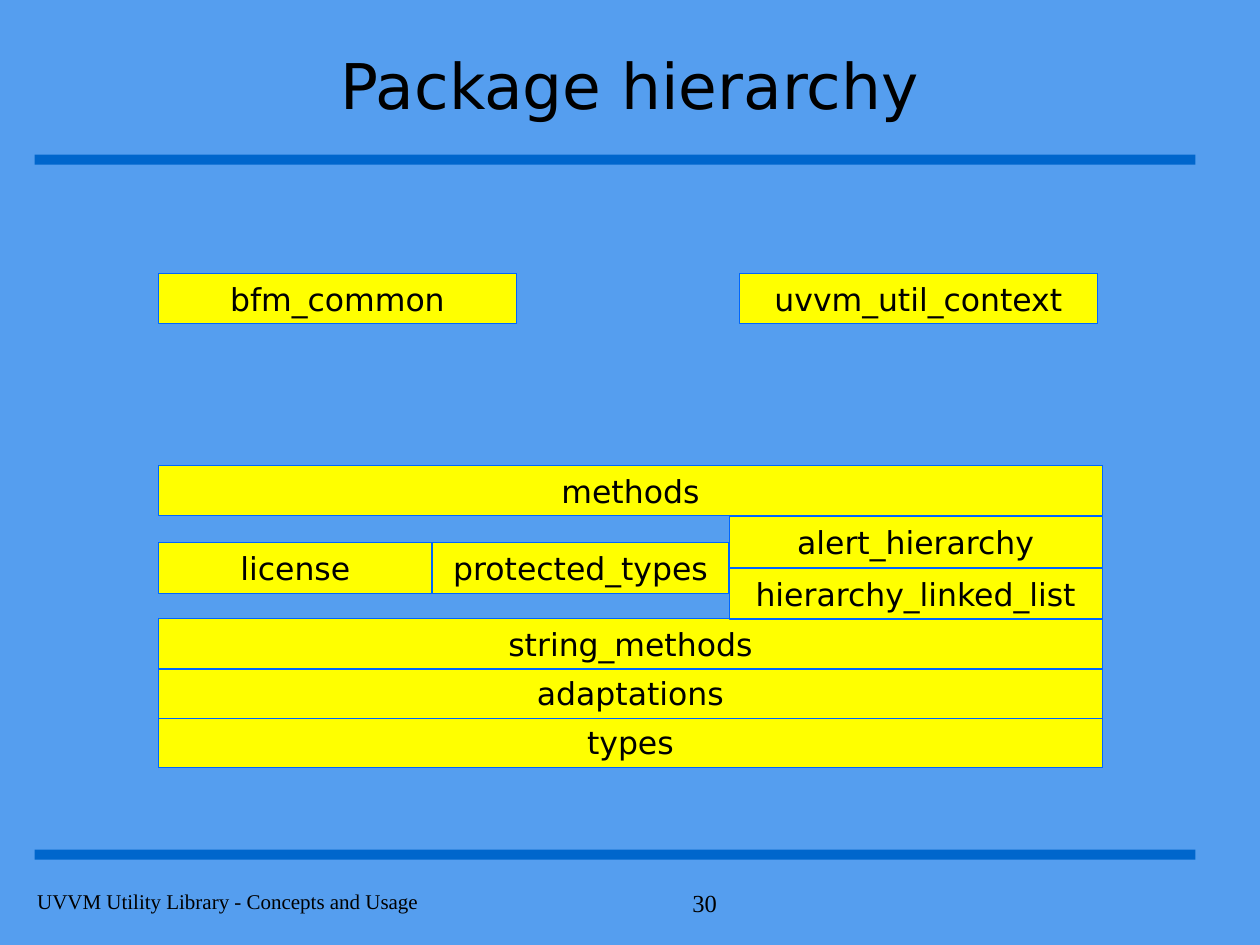
from pptx import Presentation
from pptx import util as u
from pptx.dml.color import RGBColor
from pptx.enum import shapes, text

# Content
TITLE = "Package hierarchy"
FOOTER = "UVVM Utility Library - Concepts and Usage"
PAGE = "30"

# Column edges and row positions, in cm
LEFT, LICENSE_END, PROTECTED_END, RIGHT = 3.2, 8.71, 14.7, 22.22
BOX_HEIGHT = 1.02
BASE_TOP, BASE_STEP = 12.47, 0.99
UPPER_TOP, UPPER_STEP = 9.38, 1.04
TOP_ROW, TOP_WIDTH, CONTEXT_LEFT = 5.51, 7.21, 14.91

BASE_STACK = ["string_methods", "adaptations", "types"]
# name, left, right, steps below the methods row
UPPER_PACKAGES = [
    ("protected_types", LICENSE_END, PROTECTED_END, 1.5),
    ("license", LEFT, LICENSE_END, 1.5),
    ("methods", LEFT, RIGHT, 0),
    ("hierarchy_linked_list", PROTECTED_END, RIGHT, 2),
    ("alert_hierarchy", PROTECTED_END, RIGHT, 1),
]
TOP_PACKAGES = [("bfm_common", LEFT), ("uvvm_util_context", CONTEXT_LEFT)]

# Formats
ALIGN, ANCHOR = text.PP_ALIGN, text.MSO_ANCHOR
BACKGROUND, RULE_BLUE, BOX_FILL, BOX_LINE = "559EEF", "0066CC", "FFFF00", "0066FF"
INK = "000000"
FRAME = {"margin_left": u.Cm(0.25), "margin_right": u.Cm(0.25),
         "margin_top": u.Cm(0.13), "margin_bottom": u.Cm(0.13),
         "word_wrap": True}
PACKAGE_FONT = {"name": "DejaVu Sans", "size": u.Pt(18)}
TITLE_FONT = {"name": "DejaVu Sans", "size": u.Pt(36)}
FOOTER_FONT = {"name": "Times New Roman", "size": u.Pt(12)}
PAGE_FONT = {"name": "Times New Roman", "size": u.Pt(14)}


def color(value):
    return RGBColor.from_string(value)


def apply(target, values):
    for name, value in values.items():
        setattr(target, name, value)


def write(shape, words, font, align=ALIGN.CENTER, anchor=ANCHOR.MIDDLE, before=0):
    frame = shape.text_frame
    apply(frame, {**FRAME, "vertical_anchor": anchor})
    paragraph = frame.paragraphs[0]
    apply(paragraph, {"alignment": align, "space_before": u.Pt(before)})
    run = paragraph.add_run()
    run.text = words
    apply(run.font, font)
    run.font.color.rgb = color(INK)


def add_label(slide, place, words, font, **layout):
    label = slide.shapes.add_textbox(*map(u.Cm, place))
    write(label, words, font, **layout)


def add_bar(slide, place, fill):
    bar = slide.shapes.add_shape(shapes.MSO_SHAPE.RECTANGLE, *map(u.Cm, place))
    bar.shadow.inherit = False
    bar.fill.solid()
    bar.fill.fore_color.rgb = color(fill)
    bar.line.fill.background()
    return bar


def add_package(slide, name, left, top, width):
    package = add_bar(slide, (left, top, width, BOX_HEIGHT), BOX_FILL)
    package.line.color.rgb = color(BOX_LINE)
    package.line.width = u.Pt(0.75)
    write(package, name, PACKAGE_FONT)


def main():
    deck = Presentation()
    apply(deck, {"slide_width": u.Cm(25.4), "slide_height": u.Cm(19.05)})
    slide = deck.slides.add_slide(deck.slide_layouts[6])
    slide.background.fill.solid()
    slide.background.fill.fore_color.rgb = color(BACKGROUND)

    # Rules, title and footer
    for top in (3.12, 17.13):
        add_bar(slide, (0.7, top, 23.4, 0.2), RULE_BLUE)
    add_label(slide, (1.9, 0.64, 21.6, 2.11), TITLE, TITLE_FONT)
    add_label(slide, (0.5, 17.78, 10.6, 1.27), FOOTER, FOOTER_FONT,
              align=ALIGN.LEFT, anchor=ANCHOR.TOP, before=7.5)
    add_label(slide, (12.7, 17.78, 2, 1.27), PAGE, PAGE_FONT,
              align=ALIGN.RIGHT, anchor=ANCHOR.TOP, before=8.8)

    # Base stack, drawn from the bottom up
    for row, name in reversed(list(enumerate(BASE_STACK))):
        add_package(slide, name, LEFT, BASE_TOP + row * BASE_STEP, RIGHT - LEFT)

    # Packages built on the base, then the free-standing ones
    for name, left, right, steps in UPPER_PACKAGES:
        add_package(slide, name, left, UPPER_TOP + steps * UPPER_STEP, right - left)
    for name, left in TOP_PACKAGES:
        add_package(slide, name, left, TOP_ROW, TOP_WIDTH)

    deck.save("out.pptx")


if __name__ == "__main__":
    main()
